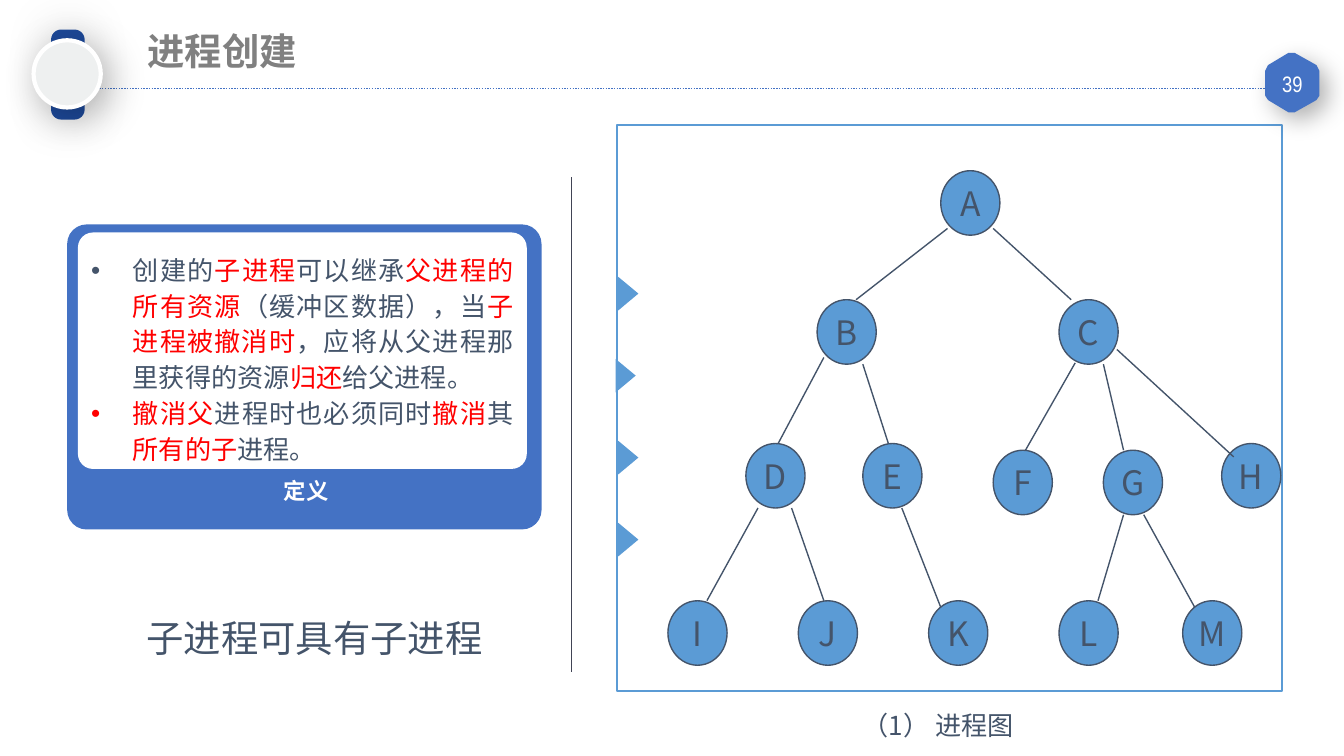
import pptx
import pptx.dml.color
import pptx.enum.dml
import pptx.enum.shapes
import pptx.enum.text
import pptx.oxml
import pptx.oxml.ns
import pptx.util
import lxml.etree

PX = 9144
BLUE, SKY, SLATE, RED, WHITE = "4472C4", "5B9BD5", "44546A", "FF0000", "FFFFFF"
HAN = "Noto Sans CJK SC"
paint = pptx.dml.color.RGBColor.from_string
qn = pptx.oxml.ns.qn
Pt = pptx.util.Pt
PRESET = pptx.enum.shapes.MSO_SHAPE
ALIGN = pptx.enum.text.PP_ALIGN
ANCHOR = pptx.enum.text.MSO_ANCHOR

deck = pptx.Presentation()
deck.slide_width = 1000 * PX
deck.slide_height = deck.slide_width * 9 // 16
slide = deck.slides.add_slide(deck.slide_layouts[6])
shapes = slide.shapes


def style(shape, fill=None, line=None, weight=1, shadow=None):
    shape.shadow.inherit = False
    if fill:
        shape.fill.solid()
        shape.fill.fore_color.rgb = paint(fill)
    else:
        shape.fill.background()
    if line:
        shape.line.color.rgb = paint(line)
        shape.line.width = Pt(weight)
    else:
        shape.line.fill.background()
    if shadow:
        alpha, blur, distance, angle = shadow
        effects = shape._element.spPr.find(qn("a:effectLst"))
        outer = lxml.etree.SubElement(
            effects, qn("a:outerShdw"), blurRad=str(Pt(blur)), dist=str(Pt(distance)),
            dir=str(angle * 60000), algn="ctr", rotWithShape="0")
        tint = lxml.etree.SubElement(outer, qn("a:srgbClr"), val="000000")
        lxml.etree.SubElement(tint, qn("a:alpha"), val=str(alpha * 1000))


def write(shape, paragraphs, size, align=ALIGN.LEFT, font=HAN, bold=False, bulleted=False, **frame):
    text = shape.text_frame
    for key, value in frame.items():
        setattr(text, key, value)
    for index, runs in enumerate(paragraphs):
        paragraph = text.paragraphs[0] if index == 0 else text.add_paragraph()
        paragraph.alignment = align
        if bulleted:
            paragraph.line_spacing = 1.14
            props = paragraph._p.get_or_add_pPr()
            props.set("marL", str(31 * PX))
            props.set("indent", str(-31 * PX))
            lxml.etree.SubElement(props, qn("a:buFont"), typeface="Arial")
            lxml.etree.SubElement(props, qn("a:buChar"), char="•")
        for words, colour in runs:
            run = paragraph.add_run()
            run.text = words
            for key, value in {"size": Pt(size), "name": font, "bold": bold}.items():
                setattr(run.font, key, value)
            run.font.color.rgb = paint(colour)
            lxml.etree.SubElement(run.font._element, qn("a:ea"), typeface=font)


panel = shapes.add_shape(PRESET.RECTANGLE, 459 * PX, 93 * PX, 495 * PX, 421 * PX)
style(panel, line=SKY)
for row, left in enumerate([455, 453, 455, 455]):
    marker = shapes.add_shape(PRESET.ISOSCELES_TRIANGLE, left * PX, (211 + 61 * row) * PX, 25 * PX, 15 * PX)
    marker.rotation = 90
    style(marker, SKY)

levels = {
    127: {"A": 700},
    223: {"B": 608, "C": 788},
    330: {"D": 555, "E": 642, "H": 909},
    335: {"F": 739, "G": 821},
    447: {"I": 497, "J": 594, "K": 691, "L": 788, "M": 880},
}
for top, row in levels.items():
    for letter, left in row.items():
        process = shapes.add_shape(PRESET.OVAL, left * PX, top * PX, 44 * PX, 48 * PX)
        style(process, SKY, SLATE, 0.75)
        write(process, [[(letter, SLATE)]], 18, ALIGN.CENTER, word_wrap=False,
              vertical_anchor=ANCHOR.MIDDLE)

rules = [(33, 66, 943, 66, BLUE, 0.75), (425, 500, 425, 132, "414455", 0.25)]
edges = [
    (705, 170, 637, 223), (739, 170, 797, 223),
    (613, 266, 579, 330), (642, 271, 661, 330),
    (800, 270, 763, 335), (821, 271, 836, 335), (831, 260, 918, 340),
    (564, 378, 526, 447), (589, 378, 613, 447), (671, 378, 700, 452),
    (836, 383, 817, 447), (851, 383, 889, 452),
]
for x1, y1, x2, y2, colour, weight in rules + [(*edge, SLATE, 0.75) for edge in edges]:
    link = shapes.add_connector(pptx.enum.shapes.MSO_CONNECTOR.STRAIGHT, x1 * PX, y1 * PX, x2 * PX, y2 * PX)
    link.line.color.rgb = paint(colour)
    link.line.width = Pt(weight)
    if colour == BLUE:
        link.line.dash_style = pptx.enum.dml.MSO_LINE.ROUND_DOT
    lxml.etree.SubElement(link._element.spPr, qn("a:effectLst"))

corners = [(942, 53), (944, 49), (959, 40), (963, 40), (979, 49), (981, 53),
           (981, 71), (979, 74), (963, 83), (959, 83), (944, 74), (942, 71)]
outline = shapes.build_freeform(*corners[0], scale=PX)
outline.add_line_segments(corners[1:], close=True)
style(outline.convert_to_shape(), BLUE, BLUE, 1, (30, 13, 6, 45))

page_number = shapes.add_textbox(942 * PX, 50 * PX, 39 * PX, 25 * PX)
write(page_number, [[("39", WHITE)]], 12, ALIGN.CENTER, "Arial Narrow", word_wrap=True,
      vertical_anchor=ANCHOR.MIDDLE, margin_left=7 * PX, margin_right=7 * PX,
      margin_top=4 * PX, margin_bottom=4 * PX)

strap = shapes.add_shape(PRESET.ROUNDED_RECTANGLE, 38 * PX, 22 * PX, 25 * PX, 67 * PX)
strap.adjustments[0] = 0.3
style(strap, "1D4999", shadow=(17, 27, 0, 0))
dial = shapes.add_shape(PRESET.OVAL, 25 * PX, 30 * PX, 50 * PX, 50 * PX)
style(dial, "EEF0F0", WHITE, 2.25, (28, 22, 6, 45))

title = shapes.add_textbox(100 * PX, 16 * PX, 517 * PX, 44 * PX)
write(title, [[("进程创建", "808080")]], 20, bold=True, word_wrap=True)

for left, top, width, height, fill in [(50, 167, 353, 227, BLUE), (58, 173, 334, 176, WHITE)]:
    card = shapes.add_shape(PRESET.ROUNDED_RECTANGLE, left * PX, top * PX, width * PX, height * PX)
    card.adjustments[0] = 0.064
    style(card, fill)

card_label = shapes.add_textbox(201 * PX, 350 * PX, 54 * PX, 42 * PX)
write(card_label, [[("定义", WHITE)]], 12, ALIGN.CENTER, bold=True, word_wrap=False)

definition = shapes.add_textbox(58 * PX, 181 * PX, 334 * PX, 171 * PX)
write(definition, [
    [("创建的", SLATE), ("子进程", RED), ("可以继承", SLATE), ("父进程的所有资源", RED),
     ("（缓冲区数据），当", SLATE), ("子进程被撤消时", RED),
     ("，应将从父进程那里获得的资源", SLATE), ("归还", RED), ("给父进程。", SLATE)],
    [("撤消父", RED), ("进程时也必须同时", SLATE), ("撤消", RED), ("其", SLATE),
     ("所有的子", RED), ("进程。", SLATE)],
], 14, ALIGN.JUSTIFY, bulleted=True, word_wrap=True)

caption = shapes.add_textbox(632 * PX, 523 * PX, 300 * PX, 34 * PX)
write(caption, [[("（1） 进程图", SLATE)]], 14, word_wrap=True)
summary = shapes.add_textbox(99 * PX, 453 * PX, 273 * PX, 44 * PX)
write(summary, [[("子进程可具有子进程", SLATE)]], 20, word_wrap=False)

deck.save("out.pptx")
